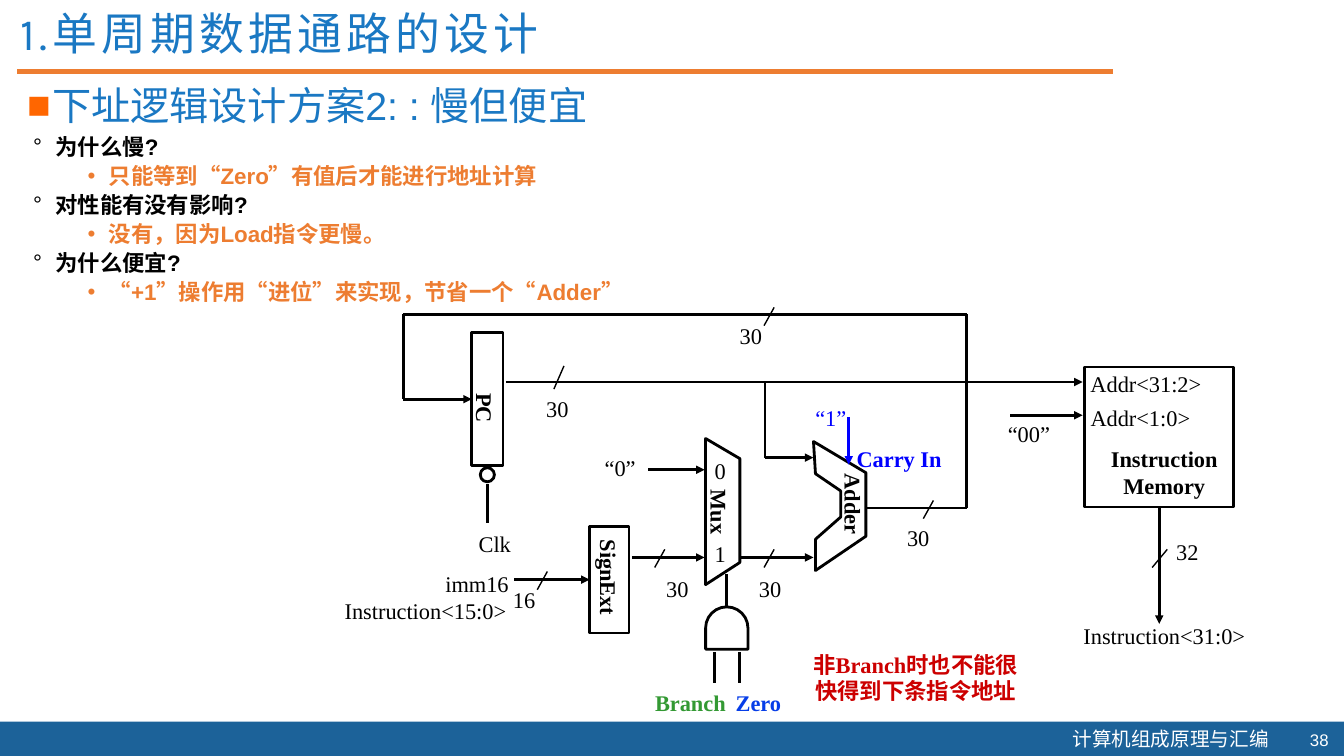
from dataclasses import dataclass
from itertools import pairwise
from typing import Any

from lxml.etree import SubElement as Sub
from pptx import Presentation
from pptx.dml.color import RGBColor as Rgb
from pptx.enum.shapes import MSO_CONNECTOR as Conn, MSO_SHAPE as Kind
from pptx.enum.text import MSO_ANCHOR as Anchor, MSO_AUTO_SIZE as Auto, PP_ALIGN as Align
from pptx.oxml.ns import qn
from pptx.util import Inches, Pt


@dataclass(frozen=True)
class Theme:
    cell: float = 0.1
    cols: float = 133.33
    rows: float = 75
    ink: str = "000000"
    paper: str = "FFFFFF"
    band: str = "1C6299"
    head: str = "1A78C3"
    warm: str = "ED7D31"
    mark: str = "FF6600"
    carry: str = "0000FF"
    branch: str = "339933"
    zero: str = "063DE8"
    alert: str = "CC0000"
    title: int = 32
    topic: int = 28
    text: int = 16
    foot: int = 14
    page: int = 12
    lead: float = 19.2
    tight: float = 18.6
    gap: float = 1.6
    wire: int = 2
    thin: int = 1
    rule: int = 3
    serif: str = "Times New Roman"
    sans: str = "Arial"
    show: str = "Karla"
    hans: str = "Noto Sans CJK SC"


T = Theme()


def size(n):
    return Inches(n * T.cell)


def style(run, pts, face, ink, bold=False, east=None):
    font = run.font
    font.size, font.name, font.bold = Pt(pts), face, bold
    font.color.rgb = Rgb.from_string(ink)
    Sub(run._r.get_or_add_rPr(), qn("a:ea"), typeface=east or face)


def bullet(para, sign, left, hang, ink=None):
    props = para._p.get_or_add_pPr()
    props.set("marL", str(Inches(left)))
    props.set("indent", str(-Inches(hang)))
    if ink:
        Sub(Sub(props, qn("a:buClr")), qn("a:srgbClr"), val=ink)
    Sub(props, qn("a:buFont"), typeface=T.sans)
    Sub(props, qn("a:buChar"), char=sign)


@dataclass
class Box:
    slide: Any
    x: float
    y: float
    w: float
    h: float

    def at(self, x, y):
        return size(self.x + x), size(self.y + y)

    def shape(self, kind, x, y, w, h, fill=None):
        item = self.slide.shapes.add_shape(kind, *self.at(x, y), size(w), size(h))
        return self.paint(item, fill)

    def frame(self):
        return self.shape(Kind.RECTANGLE, 0, 0, self.w, self.h)

    def outline(self, *spots):
        first, *rest = [self.at(*spot) for spot in spots]
        path = self.slide.shapes.build_freeform(*first, scale=1.0)
        path.add_line_segments(rest, close=True)
        return self.paint(path.convert_to_shape())

    def paint(self, item, fill=None):
        item.shadow.inherit = False
        if fill:
            item.fill.solid()
            item.fill.fore_color.rgb = Rgb.from_string(fill)
            item.line.fill.background()
        else:
            item.fill.background()
            item.line.color.rgb = Rgb.from_string(T.ink)
            item.line.width = Pt(T.wire)
        return item

    def wire(self, *spots, arrow=False, ink=T.ink, width=T.wire):
        for start, end in pairwise(spots):
            line = self.slide.shapes.add_connector(Conn.STRAIGHT, *self.at(*start), *self.at(*end))
            line.line.color.rgb = Rgb.from_string(ink)
            line.line.width = Pt(width)
            Sub(line._element.spPr, qn("a:effectLst"))
        if arrow:
            Sub(line.line._get_or_add_ln(), qn("a:tailEnd"), type="triangle")
        return line

    def text(self, x, y, w, h, wrap=True, grow=True):
        item = self.slide.shapes.add_textbox(*self.at(x, y), size(w), size(h))
        item.text_frame.word_wrap = wrap
        item.text_frame.auto_size = Auto.SHAPE_TO_FIT_TEXT if grow else Auto.NONE
        return item

    def label(self, words, x, y, w=4.2, h=3.6, ink=T.ink, bold=False, turn=0, align=None):
        item = self.text(x, y, w, h, False)
        item.rotation = turn
        for i, part in enumerate(words.split("\n")):
            para = item.text_frame.add_paragraph() if i else item.text_frame.paragraphs[0]
            para.alignment = align
            run = para.add_run()
            run.text = part
            style(run, T.text, T.serif, ink, bold)

    def bus(self, bits, x, y, left, top, rise=0.9, half=0.5):
        self.wire((x + half, y - rise), (x - half, y + rise), width=T.thin)
        self.label(bits, left, top)


def phrase(item, words, pts, face, ink, bold=False, east=None):
    para = item.text_frame.paragraphs[0]
    run = para.add_run()
    run.text = words
    style(run, pts, face, ink, bold, east)
    return para, run


def header(box):
    title = box.text(1.1, 0.7, 106.5, 4.8, grow=False)
    para, run = phrase(title, "1.单周期数据通路的设计", T.title, T.show, T.head)
    para.line_spacing = 0.9
    run._r.get_or_add_rPr().set("spc", "300")
    box.wire((1.7, 7.1), (110.4, 7.1), ink=T.warm, width=T.rule)
    topic = box.text(1.7, 7.6, 129.4, 6, grow=False)
    bullet(topic.text_frame.paragraphs[0], "■", 0.25, 0.25, T.mark)
    phrase(topic, "下址逻辑设计方案2: : 慢但便宜", T.topic, T.sans, T.head)


def reasons(box):
    pairs = [
        ("为什么慢?", "只能等到“Zero”有值后才能进行地址计算"),
        ("对性能有没有影响?", "没有，因为Load指令更慢。"),
        ("为什么便宜?", "“+1”操作用“进位”来实现，节省一个“Adder”"),
    ]
    frame = box.text(0, 0, box.w, box.h).text_frame
    frame.margin_left = frame.margin_right = Inches(0.07)
    frame.margin_top = frame.margin_bottom = Inches(0.03)
    for i, words in enumerate(part for pair in pairs for part in pair):
        para = frame.add_paragraph() if i else frame.paragraphs[0]
        para.level = i % 2
        para.line_spacing = Pt(T.lead)
        para.space_before = Pt(T.gap if i else 0)
        bullet(para, *(("•", 0.75, 0.21) if i % 2 else ("°", 0.22, 0.22)))
        run = para.add_run()
        run.text = words
        style(run, T.text, T.sans, T.warm if i % 2 else T.ink, True, T.hans)


def footer(box):
    box.shape(Kind.RECTANGLE, 0, 0, box.w, box.h, T.band)
    phrase(box.text(105.4, 0, 21.8, 3.4), "计算机组成原理与汇编", T.foot, T.hans, T.paper)
    page = box.text(127.8, 0.3, 5, 3, grow=False)
    page.text_frame.vertical_anchor = Anchor.MIDDLE
    para, _ = phrase(page, "38", T.page, T.sans, T.paper)
    para.alignment = Align.RIGHT


def counter(box):
    unit = box.frame()
    box.shape(Kind.OVAL, 0.85, 13.4, 1.4, 1.4)
    box.wire((1.55, 15), (1.55, 18.9))
    box.label("PC", -2.15, 5.7, 7, bold=True, turn=90, align=Align.CENTER)
    box.label("Clk", -0.3, 19.1, 5.2)
    return unit


def extend(box):
    unit = box.frame()
    box.label("SignExt", -2.8, 3.3, 9.5, bold=True, turn=90)
    box.wire((-7.5, 5.3), (0, 5.3), arrow=True).end_connect(unit, 1)
    box.bus("16", -4.7, 5.4, -8.6, 5.5)
    box.label("imm16", -15.3, 3.9, 8.3)
    box.label("Instruction<15:0>", -25.3, 6.5, 18.1)
    box.wire((4.2, 3.1), (11.4, 3.1), arrow=True)
    box.bus("30", 6.95, 3.2, 6.6, 4.4)


def mux(box):
    box.outline((0, 0), (box.w, 2), (box.w, 12.3), (0, box.h))
    box.label("Mux", -1.8, 5.5, 6.4, bold=True, turn=90)
    box.label("0", -0.1, 1.4, 3.1)
    box.label("1", -0.1, 9.6, 3.1)
    box.label("“0”", -11, 1.1, 5.1)
    box.wire((-5.7, 3.1), (-0.1, 3.1), arrow=True)
    box.wire((3.5, 11.8), (10.7, 11.8), arrow=True)
    box.bus("30", 6.3, 11.9, 4.3, 13.1)


def adder(box):
    box.outline((0, 0), (box.w, 3.1), (box.w, 9.4), (0.2, box.h),
                (0.2, 9.7), (2.7, 7.5), (2.7, 4.9), (0.2, 3.2))
    box.label("Adder", 0, 4.4, 8, bold=True, turn=90)
    box.wire((3.5, -2.4), (3.5, 2.3), arrow=True, ink=T.carry)
    box.label("“1”", -0.8, -4.2, 5.1, ink=T.carry)
    box.label("Carry In", 3.3, -0.1, 10.4, ink=T.carry, bold=True)
    box.wire((-4.8, -5.9), (-4.8, 1.6), (0, 1.6), arrow=True)


def gate(box):
    box.shape(Kind.FLOWCHART_DELAY, 0, 0, box.w, box.h).rotation = 270
    box.wire((2.1, 0), (2.1, -3.3))
    for x in (0.9, 3.4):
        box.wire((x, 4.5), (x, 7.6))
    box.label("Branch", -6, 7.7, 9, ink=T.branch, bold=True)
    box.label("Zero", 2, 7.7, 6.5, ink=T.zero, bold=True)
    note = box.text(8.7, 4, 24.3, 6.4)
    para, _ = phrase(note, "非Branch时也不能很快得到下条指令地址", T.text, T.serif, T.alert, True, T.hans)
    para.alignment, para.line_spacing = Align.CENTER, Pt(T.tight)


def memory(box):
    unit = box.frame()
    box.label("Addr<31:2>", -0.4, -0.2, 13)
    box.label("Addr<1:0>", -0.4, 3.2, 11.9)
    box.label("Instruction\nMemory", 1.6, 7.3, 12.6, 6.3, bold=True, align=Align.CENTER)
    box.wire((-7.4, 4.8), (-0.2, 4.8), arrow=True)
    box.label("“00”", -8.6, 4.8, 6.2)
    box.wire((7.4, box.h), (7.4, 25.5), arrow=True).begin_connect(unit, 2)
    box.bus("32", 7.45, 19, 8.1, 16.5, half=0.75)
    box.label("Instruction<31:0>", -1.1, 24.8, 18.1)


def loop(box, unit):
    back = box.wire((46, box.h), (box.w, box.h), (box.w, 0), (0, 0), (0, 8.4), (6.8, 8.4), arrow=True)
    back.end_connect(unit, 1)
    box.wire((10.2, 6.7), (67.4, 6.7), arrow=True)
    box.bus("30", 36.3, 0.2, 32.4, 0.3)
    box.bus("30", 52.1, 19.35, 49, 20.3)
    box.bus("30", 15.45, 6.25, 13.2, 7.5, 1.15)


def main():
    deck = Presentation()
    deck.slide_width, deck.slide_height = size(T.cols), size(T.rows)
    slide = deck.slides.add_slide(deck.slide_layouts[6])
    footer(Box(slide, 0, 71.6, T.cols, 3.4))
    header(Box(slide, 0, 0, T.cols, 13.6))
    reasons(Box(slide, 2.6, 12.9, 89.6, 21.7))
    unit = counter(Box(slide, 46.8, 33, 3.1, 13.2))
    extend(Box(slide, 58.5, 52.2, 3.9, 10.6))
    mux(Box(slide, 70, 43.5, 3.4, 14.5))
    adder(Box(slide, 80.7, 43.8, 5.2, 12.8))
    gate(Box(slide, 70, 60.2, 4.2, 4.2))
    memory(Box(slide, 107.6, 36.4, 14.8, 13.9))
    loop(Box(slide, 40, 31.2, 55.9, 19.2), unit)
    deck.save("out.pptx")


if __name__ == "__main__":
    main()
